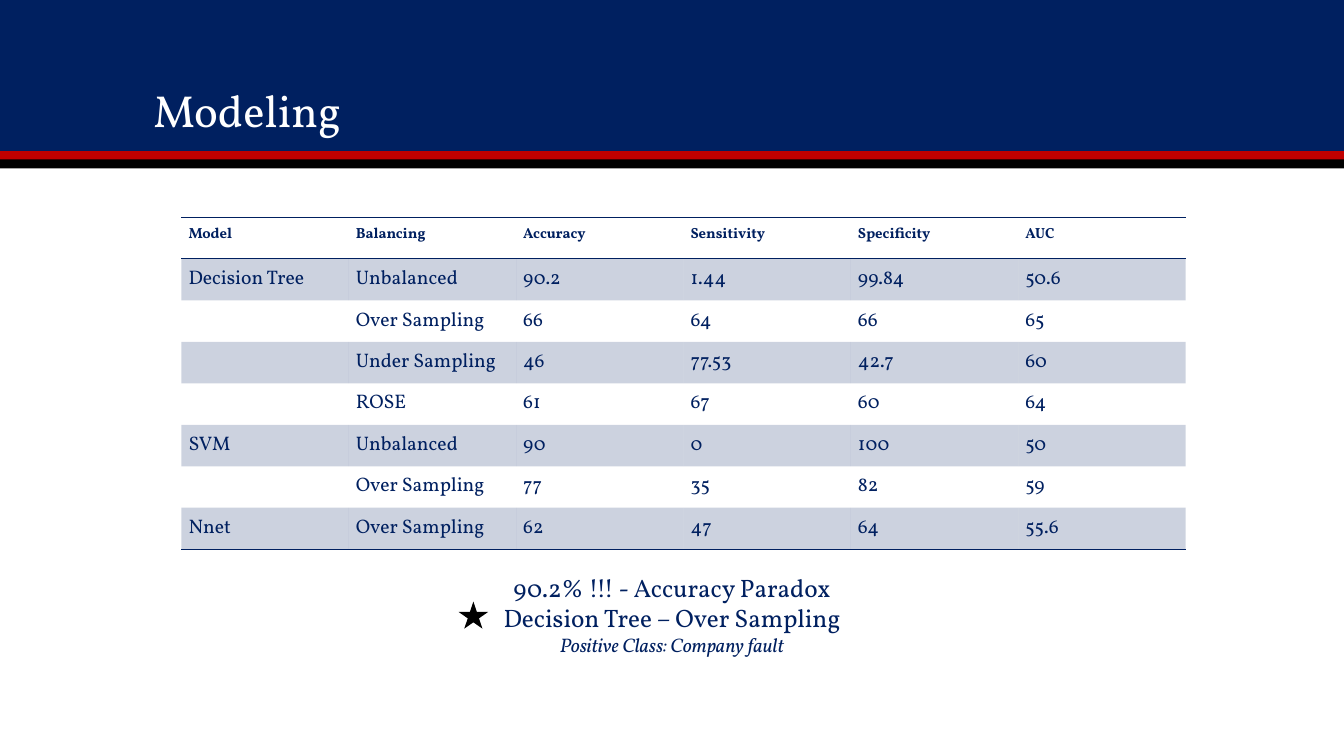
from lxml import etree
from pptx import Presentation
from pptx.dml.color import RGBColor
from pptx.enum.shapes import MSO_SHAPE
from pptx.enum.text import MSO_ANCHOR, MSO_AUTO_SIZE, PP_ALIGN
from pptx.oxml.ns import qn
from pptx.util import Inches, Pt

RECT, STAR = MSO_SHAPE.RECTANGLE, MSO_SHAPE.STAR_5_POINT
LEFT, CENTER = PP_ALIGN.LEFT, PP_ALIGN.CENTER
BOTTOM = MSO_ANCHOR.BOTTOM
FIXED, GROW = MSO_AUTO_SIZE.NONE, MSO_AUTO_SIZE.SHAPE_TO_FIT_TEXT

NAVY = RGBColor(0x00, 0x20, 0x60)
RED = RGBColor(0xC0, 0x00, 0x00)
BLACK = RGBColor(0x00, 0x00, 0x00)
WHITE = RGBColor(0xFF, 0xFF, 0xFF)

FACE = "Vollkorn"
WIDTH, HEIGHT = 13.33, 7.5
PLAIN = "{2D5ABB26-0587-4C30-8999-92F81FD0307C}"
INSET = Inches(0.07)

BANDS = [(0, 1.51, NAVY), (1.5, 0.09, RED), (1.58, 0.09, BLACK)]
ROWS = [
    ("Model", "Balancing", "Accuracy", "Sensitivity", "Specificity", "AUC"),
    ("Decision Tree", "Unbalanced", "90.2", "1.44", "99.84", "50.6"),
    ("", "Over Sampling", "66", "64", "66", "65"),
    ("", "Under Sampling", "46", "77.53", "42.7", "60"),
    ("", "ROSE", "61", "67", "60", "64"),
    ("SVM", "Unbalanced", "90", "0", "100", "50"),
    ("", "Over Sampling", "77", "35", "82", "59"),
    ("Nnet", "Over Sampling", "62", "47", "64", "55.6"),
]
NOTES = [
    ("90.2% !!! - Accuracy Paradox", {"size": Pt(18)}),
    ("Decision Tree – Over Sampling", {"size": Pt(18)}),
    ("Positive Class: Company fault", {"size": Pt(14), "italic": True}),
]


def style(item, **values):
    """Set each named format value on the item."""
    for name, value in values.items():
        setattr(item, name, value)


def write(para, text, color, **values):
    """Add one run of text in the slide's typeface."""
    run = para.add_run()
    run.text = text
    style(run.font, name=FACE, **values)
    run.font.color.rgb = color


def block(slide, kind, box, color):
    """Draw a flat filled shape in the box."""
    shape = slide.shapes.add_shape(kind, *map(Inches, box))
    shape.shadow.inherit = False
    shape.fill.solid()
    shape.fill.fore_color.rgb = color
    shape.line.fill.background()
    return shape


def header(slide, box):
    """Stack the colour bands in the box and set the title over them."""
    x, y, w, _ = box
    for top, tall, color in BANDS:
        block(slide, RECT, (x, y + top, w, tall), color)
    title = slide.shapes.title
    style(title, left=Inches(x + 1.42), top=Inches(y + 0.28),
          width=Inches(10.5), height=Inches(1.13))
    frame = title.text_frame
    style(frame, vertical_anchor=BOTTOM, auto_size=FIXED, word_wrap=True)
    para = frame.paragraphs[0]
    style(para, alignment=LEFT, line_spacing=0.9)
    write(para, "Modeling", WHITE, size=Pt(32))
    slide.shapes._spTree.append(title._element)


def rule(cell, side):
    """Draw a thin navy border on one side of the cell."""
    line = etree.SubElement(cell._tc.get_or_add_tcPr(), qn("a:" + side), w=str(Pt(1)))
    fill = etree.SubElement(line, qn("a:solidFill"))
    etree.SubElement(fill, qn("a:srgbClr"), val=str(NAVY))


def shade(cell):
    """Fill the cell with see-through navy."""
    cell.fill.solid()
    cell.fill.fore_color.rgb = NAVY
    tint = cell._tc.tcPr.find(qn("a:solidFill")).find(qn("a:srgbClr"))
    etree.SubElement(tint, qn("a:alpha"), val="20000")


def scores(slide, box):
    """Fill the box with the table of model scores."""
    count, span = len(ROWS), len(ROWS[0])
    frame = slide.shapes.add_table(count, span, *map(Inches, box))
    table = frame.table
    style(table, first_row=False, horz_banding=False)
    table._tbl.tblPr.find(qn("a:tableStyleId")).text = PLAIN
    for col in table.columns:
        col.width = Inches(box[2] / span)
    for row in table.rows:
        row.height = Inches(box[3] / count)
    for r, words in enumerate(ROWS):
        sides = {0: ("lnT", "lnB"), count - 1: ("lnB",)}.get(r, ())
        size = Pt(14 if r else 10.5)
        for c, word in enumerate(words):
            cell = table.cell(r, c)
            style(cell, margin_left=INSET, margin_right=INSET,
                  margin_top=INSET, margin_bottom=INSET)
            for side in sides:
                rule(cell, side)
            if r % 2:
                shade(cell)
            para = cell.text_frame.paragraphs[0]
            if word:
                write(para, word, NAVY, size=size, bold=r == 0)
            else:
                etree.SubElement(para._p, qn("a:endParaRPr"), sz="1400")


def verdict(slide, box):
    """Write the centred findings in the box, with a star at its left."""
    x, y, w, h = box
    star = block(slide, STAR, (x - 0.26, y + 0.36, 0.25, 0.23), BLACK)
    star.line.color.rgb = BLACK
    star.line.width = Pt(1)
    etree.SubElement(star.line._ln, qn("a:miter"), lim="800000")
    frame = slide.shapes.add_textbox(*map(Inches, box)).text_frame
    style(frame, word_wrap=False, auto_size=GROW)
    for i, (text, values) in enumerate(NOTES):
        para = frame.add_paragraph() if i else frame.paragraphs[0]
        para.alignment = CENTER
        write(para, text, NAVY, **values)


def main():
    """Build the slide and save it."""
    deck = Presentation()
    style(deck, slide_width=Inches(WIDTH), slide_height=Inches(HEIGHT))
    slide = deck.slides.add_slide(deck.slide_layouts[5])
    header(slide, (0, 0, WIDTH, 1.67))
    scores(slide, (1.8, 2.16, 9.96, 3.27))
    verdict(slide, (4.83, 5.63, 3.67, 0.94))
    deck.save("out.pptx")


if __name__ == "__main__":
    main()
